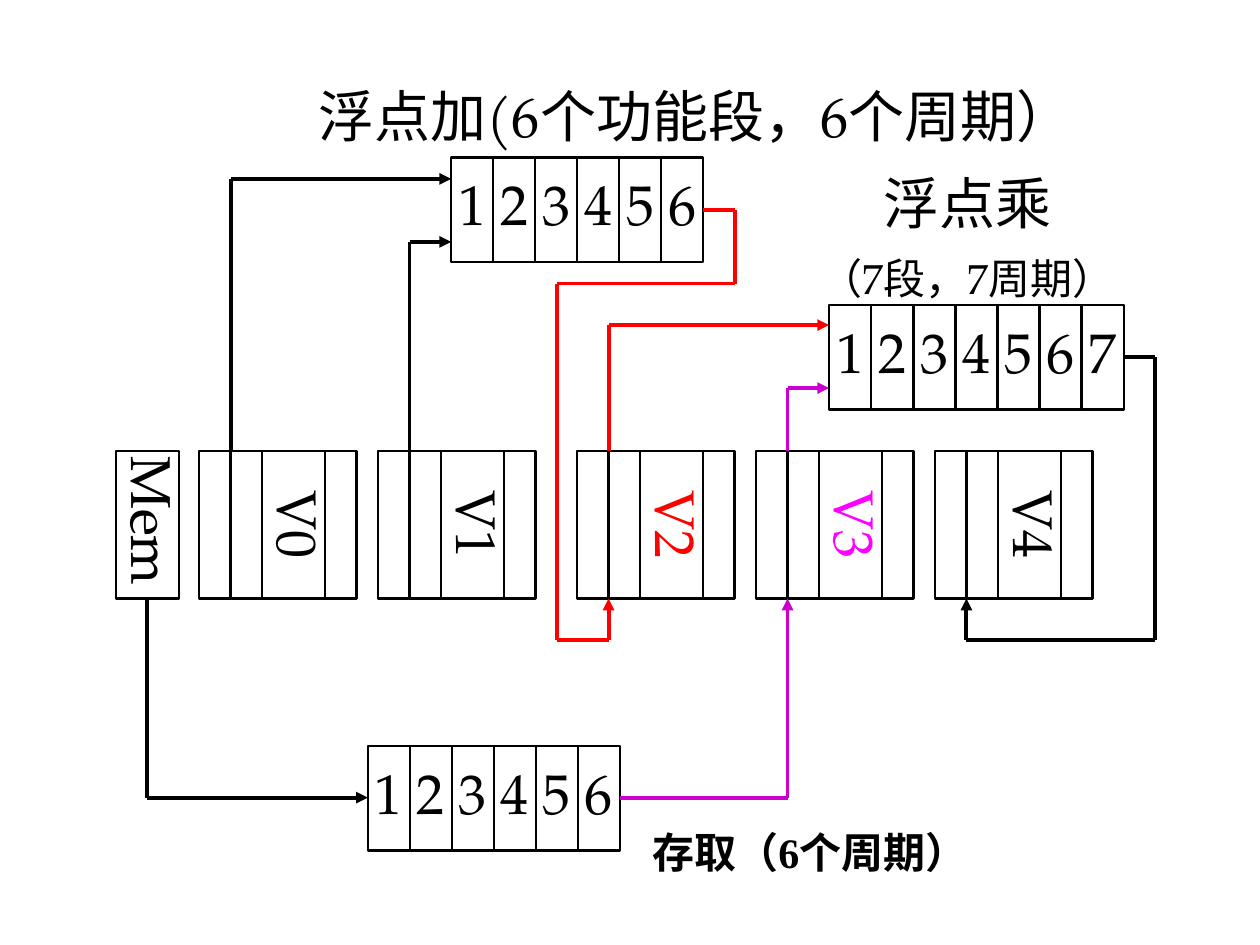
from itertools import pairwise
from pptx import Presentation
from pptx.dml.color import RGBColor
from pptx.enum.shapes import MSO_CONNECTOR, MSO_SHAPE
from pptx.enum.text import MSO_ANCHOR, PP_ALIGN
from pptx.oxml.ns import qn
from pptx.util import Inches, Pt

BLACK = RGBColor(0, 0, 0)
RED = RGBColor(255, 0, 0)
PINK = RGBColor(255, 0, 255)
PURPLE = RGBColor(204, 0, 204)
SERIF = "TeX Gyre Pagella"


def style(para, size, color=BLACK, face=SERIF, bold=False):
    for run in para.runs:
        font = run.font
        font.size, font.name, font.bold = Pt(size), face, bold
        font.color.rgb = color


def write(frame, lines, color=BLACK, side=0.04, end=0):
    frame.word_wrap = False
    frame.vertical_anchor = MSO_ANCHOR.MIDDLE
    frame.margin_left = frame.margin_right = Inches(side)
    frame.margin_top = frame.margin_bottom = Inches(end)
    frame.text = "\n".join(text for text, size in lines)
    for para, (text, size) in zip(frame.paragraphs, lines):
        para.alignment = PP_ALIGN.CENTER
        para.line_spacing = 0.8
        style(para, size, color)
    for para in frame.paragraphs[1:]:
        para.space_before = Pt(15)


def block(slide, left, top, width, height):
    shape = slide.shapes.add_shape(
        MSO_SHAPE.RECTANGLE, Inches(left), Inches(top), Inches(width), Inches(height))
    shape.shadow.inherit = False
    shape.fill.background()
    shape.line.color.rgb = BLACK
    shape.line.width = Pt(1.5)
    return shape


def label(slide, left, top, width, height, lines):
    area = slide.shapes.add_textbox(
        Inches(left), Inches(top), Inches(width), Inches(height))
    write(area.text_frame, lines)


def note(slide, left, top, width, height, text):
    area = slide.shapes.add_textbox(
        Inches(left), Inches(top), Inches(width), Inches(height))
    frame = area.text_frame
    frame.word_wrap = True
    frame.text = text
    style(frame.paragraphs[0], 24, face="Times New Roman", bold=True)


def pipe(slide, left, top, width, height, count):
    step = width / count
    for i in range(count):
        stage = block(slide, left + i * step, top, step, height)
        write(stage.text_frame, [(str(i + 1), 32)])


def memory(slide, left, top, width, height):
    shape = block(slide, left, top, width, height)
    write(shape.text_frame, [("Mem", 32)], side=0, end=0.04)
    shape.text_frame._txBody.bodyPr.set("vert", "eaVert")


def vector(slide, left, top, width, height, name, color):
    unit = width / 5
    for start, span, text in ((0, 1, ""), (1, 1, ""), (2, 2, name), (4, 1, "")):
        mid = left + (start + span / 2) * unit
        thick = span * unit
        cell = block(slide, mid - height / 2, top + (height - thick) / 2, height, thick)
        cell.rotation = 90
        if text:
            write(cell.text_frame, [(text, 32)], color)


def wire(slide, color, points):
    for (x1, y1), (x2, y2) in pairwise(points):
        line = slide.shapes.add_connector(
            MSO_CONNECTOR.STRAIGHT, Inches(x1), Inches(y1), Inches(x2), Inches(y2))
        line.line.color.rgb = color
        line.line.width = Pt(2.25)
        props = line._element.spPr
        props.append(props.makeelement(qn("a:effectLst"), {}))
    edge = line.line._get_or_add_ln()
    edge.append(edge.makeelement(qn("a:tailEnd"), {"type": "triangle"}))


def main():
    deck = Presentation()
    deck.slide_width, deck.slide_height = Inches(10), Inches(7.5)
    slide = deck.slides.add_slide(deck.slide_layouts[6])

    label(slide, 2.02, 0.67, 7, 0.58, [("浮点加(6个功能段，6个周期）", 32)])
    label(slide, 6.18, 1.43, 3, 0.98, [("浮点乘", 32), ("（7段，7周期）", 24)])
    note(slide, 5.08, 6.51, 2.73, 0.9, "存取（6个周期）")

    for left, top, width, count in (
            (3.58, 1.25, 2, 6), (6.58, 2.42, 2.34, 7), (2.92, 5.92, 2, 6)):
        pipe(slide, left, top, width, 0.83, count)

    memory(slide, 0.92, 3.58, 0.5, 1.17)
    banks = ((1.58, BLACK), (3, BLACK), (4.58, RED), (6, PINK), (7.42, BLACK))
    for i, (left, color) in enumerate(banks):
        vector(slide, left, 3.58, 1.25, 1.17, f"V{i}", color)

    for color, points in (
            (BLACK, [(1.83, 3.58), (1.83, 1.42), (3.58, 1.42)]),
            (BLACK, [(3.25, 3.58), (3.25, 1.92), (3.58, 1.92)]),
            (RED, [(5.58, 1.67), (5.83, 1.67), (5.83, 2.25), (4.42, 2.25),
                   (4.42, 5.08), (4.83, 5.08), (4.83, 4.75)]),
            (RED, [(4.83, 3.58), (4.83, 2.58), (6.58, 2.58)]),
            (PURPLE, [(6.25, 3.58), (6.25, 3.08), (6.58, 3.08)]),
            (BLACK, [(8.92, 2.83), (9.17, 2.83), (9.17, 5.08),
                     (7.67, 5.08), (7.67, 4.75)]),
            (BLACK, [(1.17, 4.75), (1.17, 6.33), (2.92, 6.33)]),
            (PURPLE, [(4.92, 6.33), (6.25, 6.33), (6.25, 4.75)])):
        wire(slide, color, points)

    deck.save("out.pptx")


if __name__ == "__main__":
    main()
